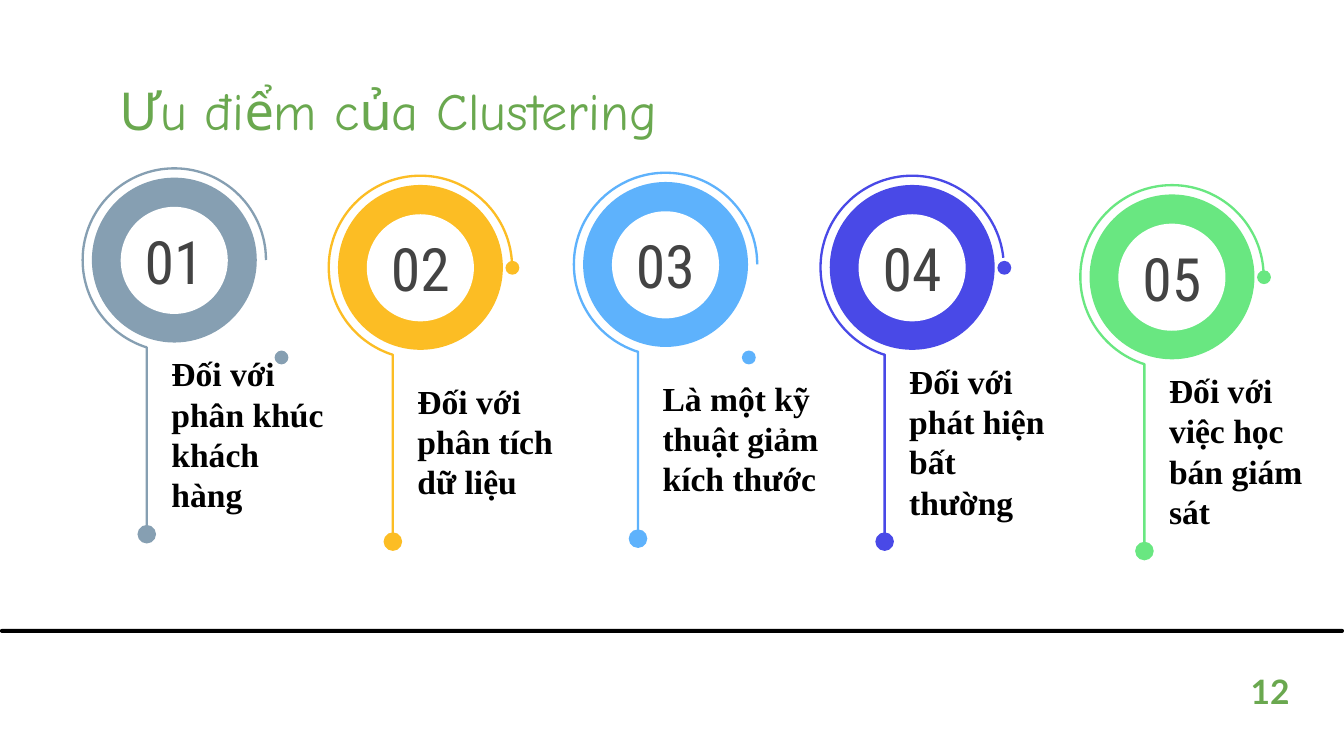
from math import cos, radians, sin

from pptx import Presentation
from pptx.dml.color import RGBColor
from pptx.enum.shapes import MSO_SHAPE
from pptx.enum.text import MSO_ANCHOR, PP_ALIGN
from pptx.util import Inches, Pt

OVAL, BAR = MSO_SHAPE.OVAL, MSO_SHAPE.ROUNDED_RECTANGLE
TOP, MIDDLE = MSO_ANCHOR.TOP, MSO_ANCHOR.MIDDLE
LEFT, CENTER = PP_ALIGN.LEFT, PP_ALIGN.CENTER
COLORS = {
    "white": "FFFFFF", "black": "000000", "number": "434343", "accent": "6AA84F",
    "slate": "869FB2", "amber": "FCBD24", "sky": "5EB2FC",
    "indigo": "4949E7", "green": "69E781",
}

prs = Presentation()
prs.slide_width = Inches(10)
prs.slide_height = prs.slide_width * 9 // 16
s = prs.slides.add_slide(prs.slide_layouts[6])
shapes = s.shapes
CELL = prs.slide_width // 100  # square grid: 100 columns across the slide


def add_filled(kind, cx, cy, w, h, color):
    """Add a plain filled shape centred on a grid point."""
    box = [round(v * CELL) for v in (cx - w / 2, cy - h / 2, w, h)]
    sp = shapes.add_shape(kind, *box)
    sp.shadow.inherit = False
    sp.fill.solid()
    sp.fill.fore_color.rgb = RGBColor.from_string(COLORS[color])
    sp.line.fill.background()
    return sp


def set_text(sp, text, font, size, color, bold=False, align=LEFT,
             anchor=TOP, inset=1.0, wrap=True):
    tf = sp.text_frame
    frame = {"word_wrap": wrap, "vertical_anchor": anchor}
    for side in ("left", "right", "top", "bottom"):
        frame["margin_" + side] = round(inset * CELL)
    for name, value in frame.items():
        setattr(tf, name, value)
    p = tf.paragraphs[0]
    p.alignment = align
    r = p.add_run()
    r.text = text
    for name, value in {"name": font, "size": Pt(size), "bold": bold}.items():
        setattr(r.font, name, value)
    r.font.color.rgb = RGBColor.from_string(COLORS[color])


# Footer rule
rule = add_filled(BAR, 50, 46.95, 100, 0.3, "black")
rule.adjustments[0] = 0.5

# Advantages: number, text, colour, ring centre, accent dot centre
advantages = [
    ("01", "Đối với phân khúc khách hàng", "slate", (12.97, 19.35), (20.95, 26.6)),
    ("02", "Đối với phân tích dữ liệu", "amber", (31.28, 19.9), (38.13, 19.93)),
    ("03", "Là một kỹ thuật giảm kích thước", "sky", (49.52, 19.68), (55.72, 26.6)),
    ("04", "Đối với phát hiện bất thường", "indigo", (67.87, 19.9), (74.73, 19.93)),
    ("05", "Đối với việc học bán giám sát", "green", (87.2, 20.6), (94.05, 20.63)),
]
RADIUS, STEM_X, STEM_END = 6.82, -2.05, 20.4

for number, text, color, (cx, cy), accent_dot in advantages:
    # Dots with a white halo at the stem's foot and beside the ring
    foot = (cx + STEM_X, cy + STEM_END)
    for center, halo, dot in ((foot, 1.73, 1.38), (accent_dot, 1.28, 1.03)):
        add_filled(OVAL, *center, halo, halo, "white")
        add_filled(OVAL, *center, dot, dot, color)

    # Open arc running counter-clockwise into the stem
    # The fourth arc stops short of its dot
    start = 6 if number == "04" else 0
    points = [(cx + RADIUS * cos(radians(a)), cy - RADIUS * sin(radians(a)))
              for a in range(start, 253, 2)]
    points.append((cx + STEM_X, points[-1][1]))
    points.append(foot)
    points = [(round(x * CELL), round(y * CELL)) for x, y in points]
    fb = shapes.build_freeform(*points[0], scale=1.0)
    fb.add_line_segments(points[1:], close=False)
    arc = fb.convert_to_shape()
    arc.shadow.inherit = False
    arc.fill.background()
    arc.line.width = Pt(1.25)
    arc.line.color.rgb = RGBColor.from_string(COLORS[color])

    # Ring, number and description
    add_filled(OVAL, cx, cy, 12.27, 12.27, color)
    hub = add_filled(OVAL, cx, cy + 0.03, 7.97, 7.97, "white")
    set_text(hub, number, "Roboto Condensed", 32, "number",
             align=CENTER, anchor=MIDDLE, inset=0, wrap=False)
    box = [round(v * CELL) for v in (cx - 1.2, cy + 9.08, 13.6, 7.7)]
    set_text(shapes.add_textbox(*box), text, "Times New Roman", 18, "black",
             bold=True, anchor=MIDDLE)

# Title and page number
labels = [
    ((7.9, 4.8, 84.6, 6.3), "Ưu điểm của Clustering",
     {"font": "Comic Neue", "size": 28}),
    ((91.2, 49.4, 6.6, 4), "12",
     {"font": "Lato", "size": 18, "bold": True, "align": CENTER, "inset": 0.5}),
]
for place, text, style in labels:
    box = [round(v * CELL) for v in place]
    set_text(shapes.add_textbox(*box), text, color="accent", **style)

prs.save("out.pptx")
